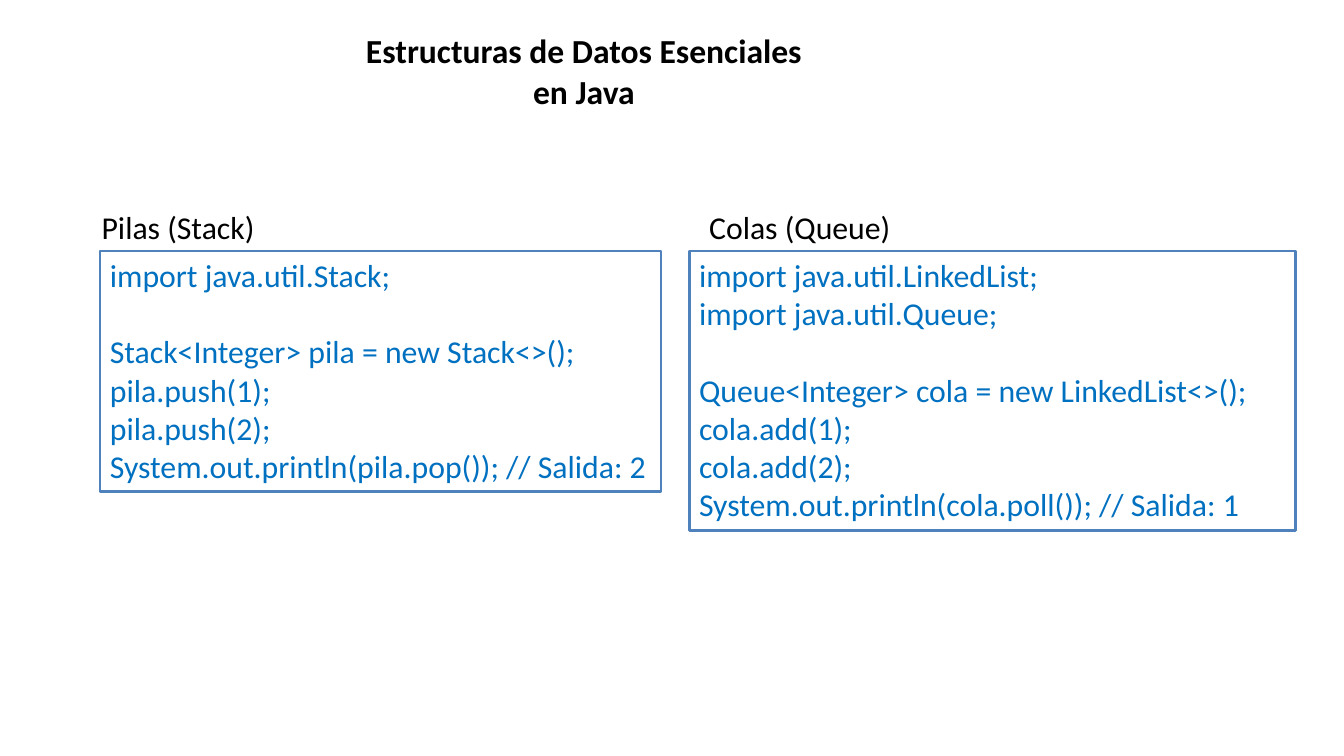
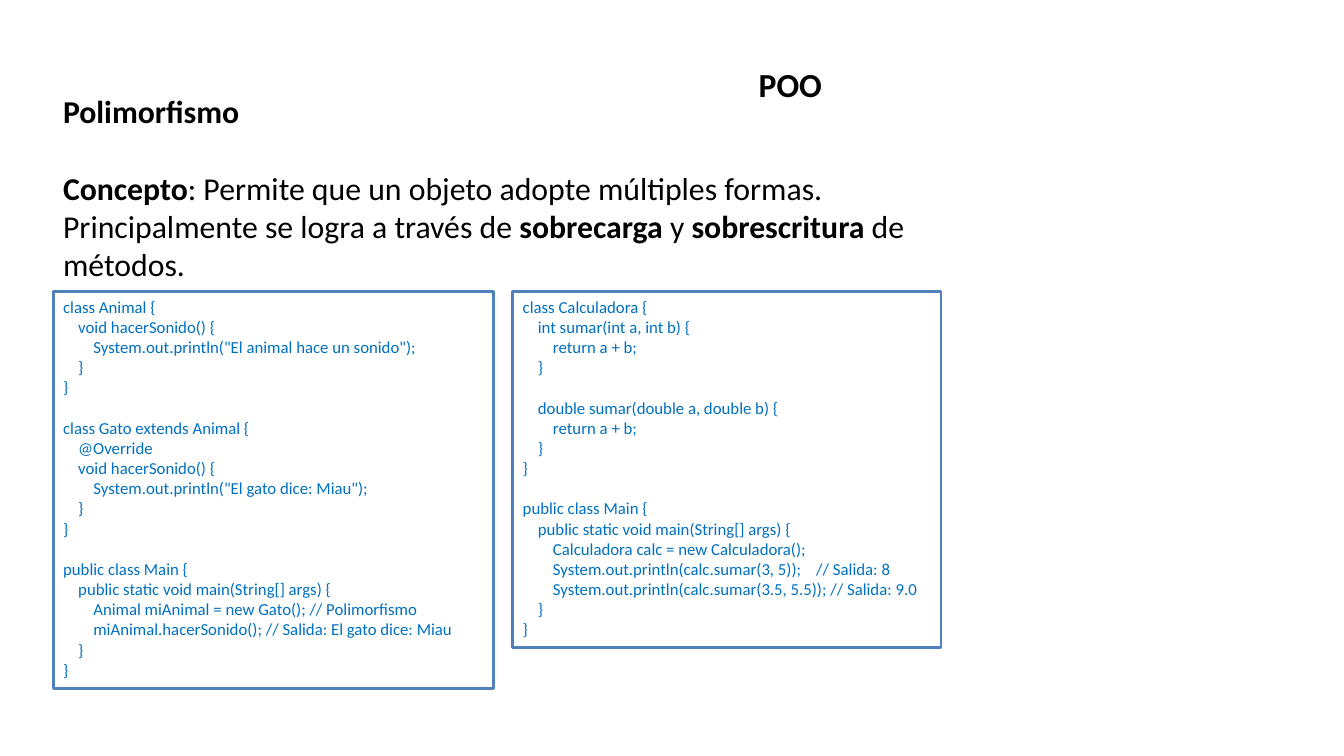
import pptx
import pptx.dml.color
import pptx.enum.shapes
import pptx.enum.text
import pptx.oxml.ns
import pptx.util
from lxml import etree

Pt = pptx.util.Pt


class Theme:
    font = "Calibri"
    ink = pptx.dml.color.RGBColor.from_string("000000")
    code_ink = pptx.dml.color.RGBColor.from_string("0070C0")
    code_border = pptx.dml.color.RGBColor.from_string("4F81BD")
    paper = pptx.dml.color.RGBColor.from_string("FFFFFF")
    title_size = 24
    body_size = 22.7
    small_code_size = 12
    border_width = 2


def format_text(frame, size, color):
    """Wrap the frame, anchor it at the top and give its runs one style."""
    frame.word_wrap = True
    frame.auto_size = pptx.enum.text.MSO_AUTO_SIZE.NONE
    frame.vertical_anchor = pptx.enum.text.MSO_ANCHOR.TOP
    for paragraph in frame.paragraphs:
        for run in paragraph.runs:
            run.font.name = Theme.font
            run.font.size = Pt(size)
            run.font.color.rgb = color
        if not paragraph.runs:  # blank code lines keep the code's height
            etree.SubElement(paragraph._p, pptx.oxml.ns.qn("a:endParaRPr"),
                             sz=str(round(size * 100)))


def add_code(slide, left, top, width, height, size, code):
    """Add a bordered box of source code."""
    box = slide.shapes.add_shape(pptx.enum.shapes.MSO_SHAPE.RECTANGLE,
                                 Pt(left), Pt(top), Pt(width), Pt(height))
    box.shadow.inherit = False
    box.fill.solid()
    box.fill.fore_color.rgb = Theme.paper
    box.line.color.rgb = Theme.code_border
    box.line.width = Pt(Theme.border_width)
    box.text_frame.text = code
    for paragraph in box.text_frame.paragraphs:
        paragraph.alignment = pptx.enum.text.PP_ALIGN.LEFT
    format_text(box.text_frame, size, Theme.code_ink)


deck = pptx.Presentation()
deck.slide_width = Pt(960.48)
deck.slide_height = Pt(540)

# Slides and their titles
titles = [
    ("Estructuras de Datos Esenciales en Java", 254.2, 18, 326.2, 65.5),
    ("POO", 519.1, 41.8, 91.4, 36),
]
slides = []
for heading, left, top, width, height in titles:
    slide = deck.slides.add_slide(deck.slide_layouts[5])
    title = slide.shapes.title
    title.left, title.top = Pt(left), Pt(top)
    title.width, title.height = Pt(width), Pt(height)
    title.text_frame.text = heading
    format_text(title.text_frame, Theme.title_size, Theme.ink)
    title.text_frame.paragraphs[0].alignment = pptx.enum.text.PP_ALIGN.CENTER
    title.text_frame.paragraphs[0].runs[0].font.bold = True
    slides.append(slide)
structures, polymorphism = slides

# Slide 1: a labelled code box for each data structure
stack_code = """import java.util.Stack;

Stack<Integer> pila = new Stack<>();
pila.push(1);
pila.push(2);
System.out.println(pila.pop()); // Salida: 2"""

queue_code = """import java.util.LinkedList;
import java.util.Queue;

Queue<Integer> cola = new LinkedList<>();
cola.add(1);
cola.add(2);
System.out.println(cola.poll()); // Salida: 1"""

label_top, label_height = 144.7, 34.6
for name, label_left, left, width, height, code in [
    ("Pilas (Stack)", 65.5, 71.5, 401, 172, stack_code),
    ("Colas (Queue)", 499.7, 492.5, 433.5, 199.5, queue_code),
]:
    label = structures.shapes.add_textbox(Pt(label_left), Pt(label_top),
                                          Pt(215), Pt(label_height))
    label.text_frame.text = name
    format_text(label.text_frame, Theme.body_size, Theme.ink)
    add_code(structures, left, label_top + label_height, width, height,
             Theme.body_size, code)

# Slide 2: the concept
concept = polymorphism.shapes.add_textbox(Pt(38), Pt(62), Pt(675.5), Pt(144.7))
heading = concept.text_frame.paragraphs[0]
heading.text = "Polimorfismo"
heading.runs[0].font.bold = True
heading.space_after = Pt(27.7)
definition = concept.text_frame.add_paragraph()
for words, bold in [
    ("Concepto", True),
    (": Permite que un objeto adopte múltiples formas. "
     "Principalmente se logra a través de ", False),
    ("sobrecarga", True),
    (" y ", False),
    ("sobrescritura", True),
    (" de métodos.", False),
]:
    run = definition.add_run()
    run.text = words
    run.font.bold = bold
format_text(concept.text_frame, Theme.body_size, Theme.ink)

# Slide 2: overriding and overloading examples
override_code = """class Animal {
    void hacerSonido() {
        System.out.println("El animal hace un sonido");
    }
}

class Gato extends Animal {
    @Override
    void hacerSonido() {
        System.out.println("El gato dice: Miau");
    }
}

public class Main {
    public static void main(String[] args) {
        Animal miAnimal = new Gato(); // Polimorfismo
        miAnimal.hacerSonido(); // Salida: El gato dice: Miau
    }
}"""

overload_code = """class Calculadora {
    int sumar(int a, int b) {
        return a + b;
    }

    double sumar(double a, double b) {
        return a + b;
    }
}

public class Main {
    public static void main(String[] args) {
        Calculadora calc = new Calculadora();
        System.out.println(calc.sumar(3, 5));    // Salida: 8
        System.out.println(calc.sumar(3.5, 5.5)); // Salida: 9.0
    }
}"""

for left, width, height, code in [
    (38, 314.8, 283.7, override_code),
    (366.5, 306, 254.2, overload_code),
]:
    add_code(polymorphism, left, 208.3, width, height,
             Theme.small_code_size, code)

deck.save("out.pptx")
